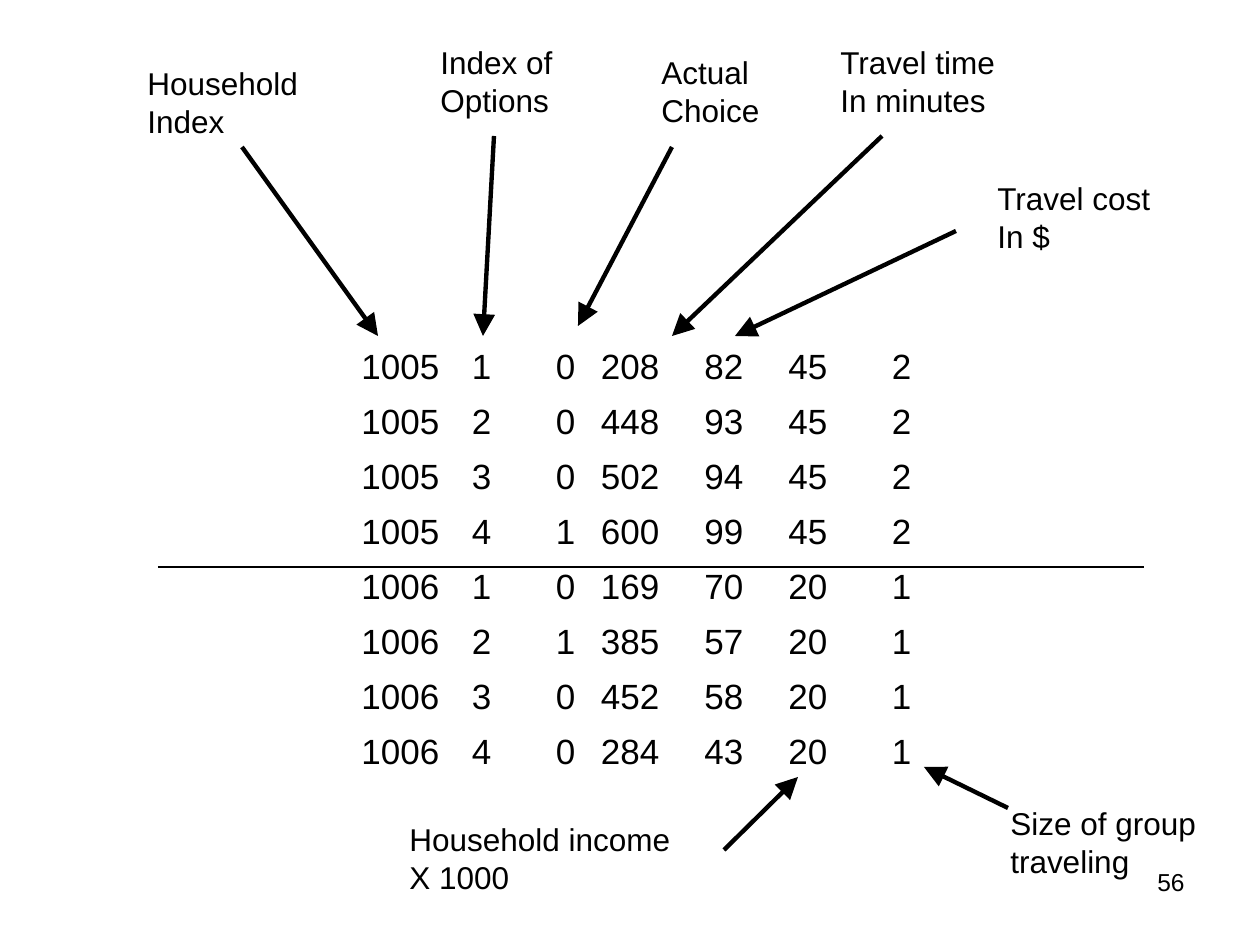
from dataclasses import dataclass

from lxml.etree import SubElement
from pptx import Presentation
from pptx.dml.color import RGBColor
from pptx.enum.shapes import MSO_CONNECTOR
from pptx.enum.text import MSO_ANCHOR, MSO_AUTO_SIZE, PP_ALIGN
from pptx.oxml.ns import qn
from pptx.util import Emu, Pt

PX_PER_INCH = 126


@dataclass(frozen=True)
class Theme:
    font: str = "Arial"
    ink: RGBColor = RGBColor(0, 0, 0)
    table_size: int = 20
    label_size: int = 18
    number_size: int = 14
    arrow_width: float = 2.5
    rule_width: float = 0.75


THEME = Theme()

COLUMN_WIDTHS = [116, 52] + [84] * 5
ROW_HEIGHT = 55
# household, income, group size, then (choice, time, cost) for each option
HOUSEHOLDS = [
    (1005, 45, 2, [(0, 208, 82), (0, 448, 93), (0, 502, 94), (1, 600, 99)]),
    (1006, 20, 1, [(0, 169, 70), (1, 385, 57), (0, 452, 58), (0, 284, 43)]),
]

# label lines, box, arrow start and arrow tip as offsets from the box corner
CALLOUTS = [
    (["Household", "Index"], (135, 58, 178, 88), (107, 89), (243, 278)),
    (["Index of", "Options"], (428, 37, 140, 88), (66, 99), (55, 299)),
    (["Actual", "Choice"], (649, 47, 126, 88), (23, 100), (-71, 279)),
    (["Travel time", "In minutes"], (828, 37, 192, 88), (54, 99), (-156, 299)),
    (["Travel cost", "In $"], (985, 173, 182, 88), (-29, 58), (-250, 163)),
    (["Size of group", "traveling"], (998, 798, 214, 88), (10, 10), (-74, -31)),
    (["Household income", "X 1000"], (397, 814, 289, 88), (327, 36), (401, -37)),
]


def px(length):
    return Emu(round(length * 914400 / PX_PER_INCH))


def write_text(text_frame, lines, *, size, align=PP_ALIGN.LEFT):
    for index, line in enumerate(lines):
        paragraph = text_frame.paragraphs[0] if index == 0 else text_frame.add_paragraph()
        paragraph.alignment = align
        run = paragraph.add_run()
        run.text = line
        run.font.name = THEME.font
        run.font.size = Pt(size)
        run.font.color.rgb = THEME.ink


def add_line(slide, start, end, *, width, arrow=False):
    connector = slide.shapes.add_connector(
        MSO_CONNECTOR.STRAIGHT, *(px(value) for value in (*start, *end)))
    connector.line.color.rgb = THEME.ink
    connector.line.width = Pt(width)
    if arrow:
        SubElement(connector.line._get_or_add_ln(), qn("a:tailEnd"),
                   type="triangle", w="lg", len="lg")
    SubElement(connector._element.spPr, qn("a:effectLst"))


def add_data_table(slide, left, top):
    rows = [(household, option, *values, income, group)
            for household, income, group, options in HOUSEHOLDS
            for option, values in enumerate(options, start=1)]
    table = slide.shapes.add_table(
        len(rows), len(COLUMN_WIDTHS), px(left), px(top),
        px(sum(COLUMN_WIDTHS)), px(ROW_HEIGHT * len(rows))).table
    table.first_row = table.horz_banding = False
    for column, width in zip(table.columns, COLUMN_WIDTHS):
        column.width = px(width)
    for table_row, values in zip(table.rows, rows):
        table_row.height = px(ROW_HEIGHT)
        for cell, value in zip(table_row.cells, values):
            cell.fill.background()
            cell.vertical_anchor = MSO_ANCHOR.BOTTOM
            write_text(cell.text_frame, [str(value)],
                       size=THEME.table_size, align=PP_ALIGN.RIGHT)
    # Rule between the two households
    add_line(slide, (left - 178, top + 229), (left + 808, top + 229),
             width=THEME.rule_width)


def add_callout(slide, lines, box, start, tip):
    left, top = box[:2]
    label = slide.shapes.add_textbox(*(px(value) for value in box))
    label.text_frame.word_wrap = False
    label.text_frame.auto_size = MSO_AUTO_SIZE.SHAPE_TO_FIT_TEXT
    write_text(label.text_frame, lines, size=THEME.label_size)
    add_line(slide, (left + start[0], top + start[1]), (left + tip[0], top + tip[1]),
             width=THEME.arrow_width, arrow=True)


def add_page_number(slide, box, number):
    text_box = slide.shapes.add_textbox(*(px(value) for value in box))
    text_box.text_frame.word_wrap = True
    write_text(text_box.text_frame, [number],
               size=THEME.number_size, align=PP_ALIGN.RIGHT)


def main():
    presentation = Presentation()
    presentation.slide_width = px(1260)
    presentation.slide_height = px(945)
    slide = presentation.slides.add_slide(presentation.slide_layouts[6])

    add_page_number(slide, (903, 861, 294, 66), "56")
    add_data_table(slide, 336, 338)
    # Column labels with their arrows
    for callout in CALLOUTS:
        add_callout(slide, *callout)

    presentation.save("out.pptx")


if __name__ == "__main__":
    main()
